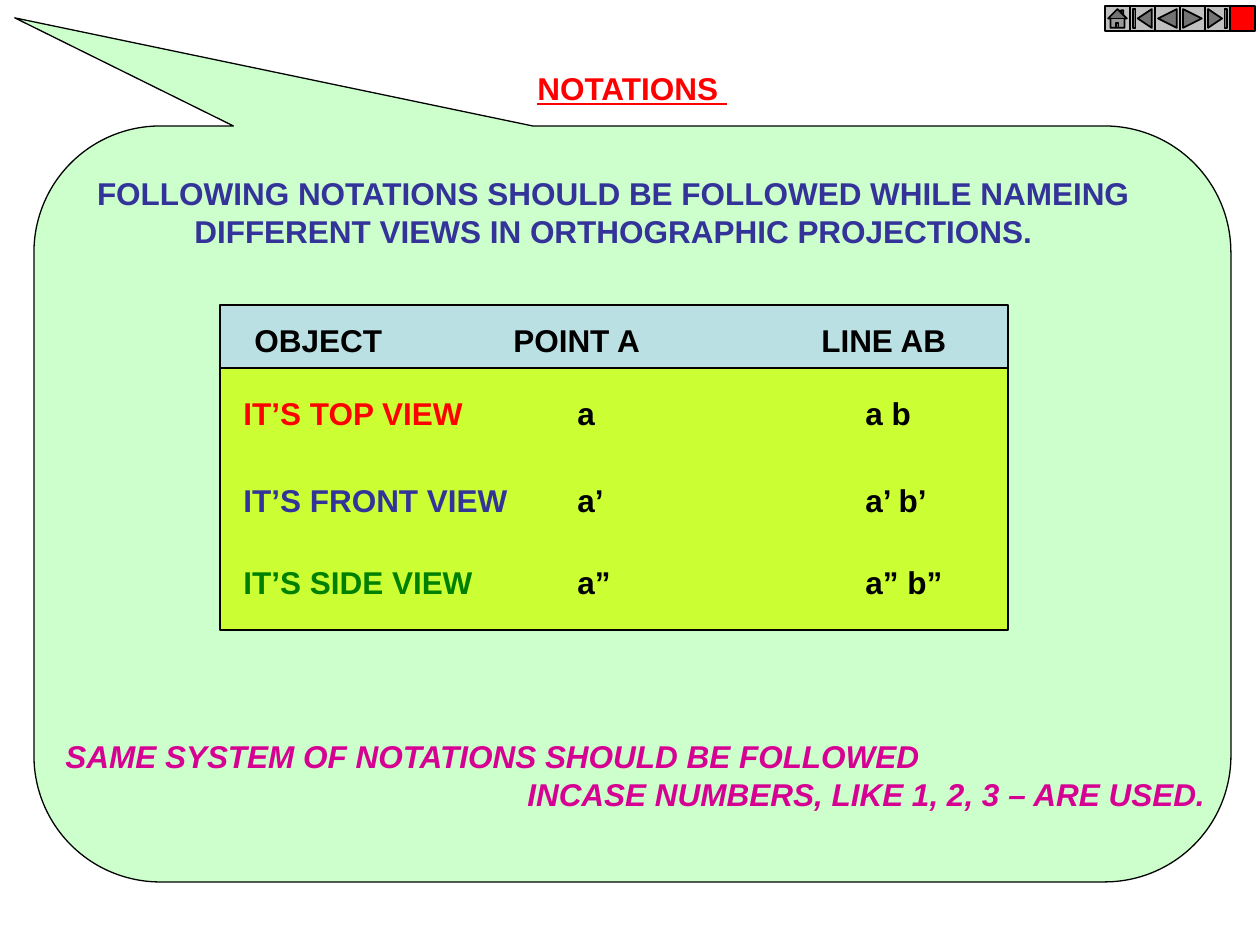
import pptx
import pptx.util
import pptx.dml.color
import pptx.enum.shapes
import pptx.enum.text
from lxml import etree

PX = 914400 / 126
KIND = pptx.enum.shapes.MSO_SHAPE
ALIGN = pptx.enum.text.PP_ALIGN
THEME = {
    "font": "Arial", "size": 18,
    "black": "000000", "red": "FF0000", "blue": "333399",
    "green": "008000", "pink": "D60093",
    "mint": "CCFFCC", "lime": "CCFF33", "sky": "BBE0E3", "grey": "C0C0C0",
}


def draw(home, kind, box, fill, width=0.75):
    """Add a filled, black-edged preset shape to a shape tree."""
    shape = home.add_shape(kind, *[round(n * PX) for n in box])
    shape.shadow.inherit = False
    shape.fill.solid()
    shape.fill.fore_color.rgb = pptx.dml.color.RGBColor.from_string(THEME[fill])
    shape.line.color.rgb = pptx.dml.color.RGBColor.from_string(THEME["black"])
    shape.line.width = pptx.util.Pt(width)
    return shape


def write(box, lines, align=ALIGN.LEFT, tabs=(), italic=None, underline=None):
    """Add a text box; each line is a list of (text, colour) runs."""
    frame = slide.shapes.add_textbox(*[round(n * PX) for n in box]).text_frame
    frame.word_wrap = True
    for i, line in enumerate(lines):
        para = frame.add_paragraph() if i else frame.paragraphs[0]
        para.alignment = align
        if tabs:
            props = para._p.get_or_add_pPr()
            stops = etree.SubElement(props, pptx.oxml.ns.qn("a:tabLst"))
            for tab in tabs:
                etree.SubElement(stops, pptx.oxml.ns.qn("a:tab"),
                                 pos=str(round(tab * PX)), algn="l")
        for text, color in line:
            run = para.add_run()
            run.text = text
            font = run.font
            font.name = THEME["font"]
            font.size = pptx.util.Pt(THEME["size"])
            font.bold = True
            font.italic = italic
            font.underline = underline
            font.color.rgb = pptx.dml.color.RGBColor.from_string(THEME[color])


deck = pptx.Presentation()
deck.slide_width = round(1260 * PX)
deck.slide_height = round(945 * PX)
slide = deck.slides.add_slide(deck.slide_layouts[6])

# Callout and the two panels of the notation chart
bubble = draw(slide.shapes, KIND.ROUNDED_RECTANGULAR_CALLOUT, (34, 126, 1197, 756), "mint")
for i, ratio in enumerate((-0.516, -0.643, 0.167)):
    bubble.adjustments[i] = ratio
draw(slide.shapes, KIND.RECTANGLE, (220, 368, 788, 262), "lime")
draw(slide.shapes, KIND.RECTANGLE, (220, 305, 788, 63), "sky")

# Title and rule
write((525, 63, 222, 50), [[("NOTATIONS ", "red")]], underline=True)
write((82, 168, 1063, 88),
      [[("FOLLOWING NOTATIONS SHOULD BE FOLLOWED WHILE NAMEING", "blue")],
       [("DIFFERENT VIEWS IN ORTHOGRAPHIC PROJECTIONS.", "blue")]],
      align=ALIGN.CENTER)

# Notation chart
write((242, 315, 766, 50), [[("OBJECT\tPOINT A\tLINE AB", "black")]], tabs=(259, 567))
rows = [
    (388, "IT’S TOP VIEW", "red", "a", "a b"),
    (475, "IT’S FRONT VIEW", "blue", "a’", "a’ b’"),
    (557, "IT’S SIDE VIEW", "green", "a”", "a” b”"),
]
for top, view, color, point, line in rows:
    write((231, top, 777, 50),
          [[(view, color), (f"\t{point}\t{line}", "black")]], tabs=(334, 622))

# Closing note
write((53, 731, 1187, 88),
      [[("SAME SYSTEM OF NOTATIONS SHOULD BE FOLLOWED", "pink")],
       [("\tINCASE NUMBERS, LIKE 1, 2, 3 – ARE USED.", "pink")]],
      tabs=(462,), italic=True)

# Navigation bar
bar = slide.shapes.add_group_shape()
buttons = [
    (KIND.ACTION_BUTTON_HOME, "grey"),
    (KIND.ACTION_BUTTON_BEGINNING, "grey"),
    (KIND.ACTION_BUTTON_BACK_OR_PREVIOUS, "grey"),
    (KIND.ACTION_BUTTON_FORWARD_OR_NEXT, "grey"),
    (KIND.ACTION_BUTTON_END, "grey"),
    (KIND.ACTION_BUTTON_CUSTOM, "red"),
]
for i, (kind, fill) in enumerate(buttons):
    draw(bar.shapes, kind, (1105 + 25 * i, 6, 25, 25), fill, width=1)

deck.save("out.pptx")
